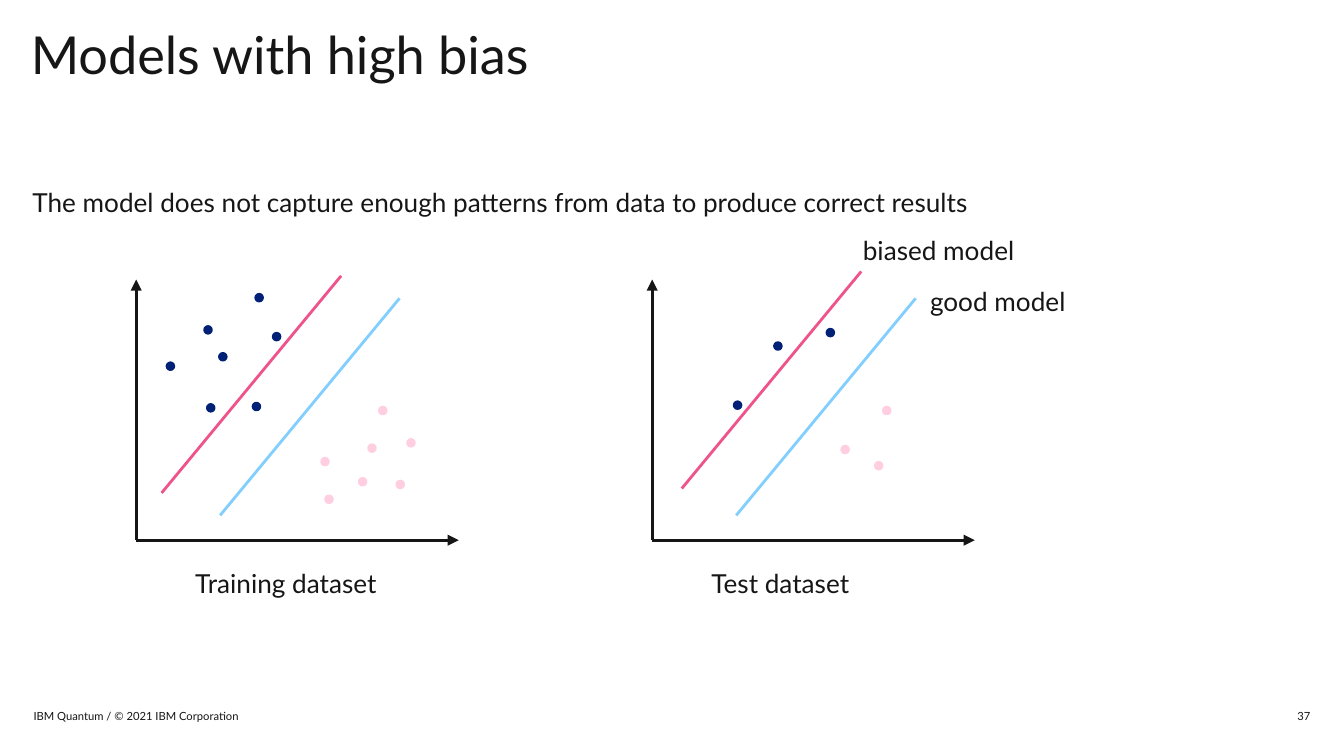
from dataclasses import dataclass

import pptx
import pptx.dml.color
import pptx.enum.shapes
import pptx.enum.text
import pptx.oxml.ns
import pptx.util
from lxml import etree

# Grid: 100 columns by 56.25 rows of square cells (16:9)
COLS, ROWS = 100, 56.25
CELL = pptx.util.Inches(0.1)
FONT = "Lato"
INK, NAVY, BLUSH, SKY, ROSE = "161616", "002175", "FFCFE1", "82CFFF", "EE538B"
STROKE = 1.5
DOT = 0.5                    # diameter, in cells
AXIS_WIDTH, AXIS_HEIGHT = 24, 19.4
MODEL_RUN, MODEL_RISE = 13.35, 16.15

Align = pptx.enum.text.PP_ALIGN
Anchor = pptx.enum.text.MSO_ANCHOR
Point = tuple[float, float]


@dataclass
class Label:
    text: str
    col: float
    row: float
    width: float
    height: float
    size: float
    spacing: float = 1.0
    align: Align = Align.LEFT
    anchor: Anchor = Anchor.TOP
    wrap: bool = True


@dataclass
class Plot:
    """Points are cells right of and above the axes' origin."""
    caption: str
    caption_width: float
    origin_col: float
    biased_top: Point
    navy_dots: list[Point]
    blush_dots: list[Point]
    origin_row: float = 40.2
    good_top: Point = (19.6, 18)

    def place(self, point: Point) -> Point:
        return self.origin_col + point[0], self.origin_row - point[1]


def cells(n: float) -> int:
    return round(n * CELL)


def color(value: str) -> pptx.dml.color.RGBColor:
    return pptx.dml.color.RGBColor.from_string(value)


def add_label(slide, label: Label) -> None:
    tb = slide.shapes.add_textbox(cells(label.col), cells(label.row),
                                  cells(label.width), cells(label.height))
    tf = tb.text_frame
    tf.margin_left = tf.margin_right = tf.margin_top = tf.margin_bottom = 0
    tf.word_wrap = label.wrap
    tf.vertical_anchor = label.anchor
    p = tf.paragraphs[0]
    p.alignment = label.align
    p.line_spacing = label.spacing
    r = p.add_run()
    r.text = label.text
    r.font.name = FONT
    r.font.size = pptx.util.Pt(label.size)
    r.font.color.rgb = color(INK)


def add_line(slide, start: Point, end: Point, stroke: str, arrow: bool = False) -> None:
    cx = slide.shapes.add_connector(pptx.enum.shapes.MSO_CONNECTOR.STRAIGHT,
                                    *map(cells, start + end))
    cx.line.color.rgb = color(stroke)
    cx.line.width = pptx.util.Pt(STROKE)
    if arrow:
        ln = cx.line._get_or_add_ln()
        etree.SubElement(ln, pptx.oxml.ns.qn("a:tailEnd"), type="triangle")
    etree.SubElement(cx._element.spPr, pptx.oxml.ns.qn("a:effectLst"))


def add_dot(slide, center: Point, fill: str) -> None:
    sp = slide.shapes.add_shape(pptx.enum.shapes.MSO_SHAPE.OVAL,
                                cells(center[0] - DOT / 2), cells(center[1] - DOT / 2),
                                cells(DOT), cells(DOT))
    sp.shadow.inherit = False
    sp.fill.solid()
    sp.fill.fore_color.rgb = color(fill)
    sp.line.color.rgb = color(fill)
    sp.line.width = pptx.util.Pt(STROKE)


def add_plot(slide, plot: Plot) -> None:
    # Axes
    for tip in [(0, AXIS_HEIGHT), (AXIS_WIDTH, 0)]:
        add_line(slide, plot.place((0, 0)), plot.place(tip), INK, arrow=True)
    # Data points
    for dots, fill in [(plot.navy_dots, NAVY), (plot.blush_dots, BLUSH)]:
        for dot in dots:
            add_dot(slide, plot.place(dot), fill)
    # Decision lines
    for top, stroke in [(plot.good_top, SKY), (plot.biased_top, ROSE)]:
        bottom = (top[0] - MODEL_RUN, top[1] - MODEL_RISE)
        add_line(slide, plot.place(top), plot.place(bottom), stroke)
    # Caption
    col, row = plot.place((4.4, -1.8))
    add_label(slide, Label(plot.caption, col, row, plot.caption_width, 2.4, 14, 1.1,
                           wrap=False))


LABELS = [
    Label("Models with high bias", 2.3, 2.2, 70.4, 8.8, 28, 0.9),
    Label("The model does not capture enough patterns from data to produce correct results",
          2.4, 13.65, 95.2, 35.6, 14, 1.1),
    Label("IBM Quantum / © 2021 IBM Corporation", 2.5, 52.4, 45, 1.8, 6,
          anchor=Anchor.MIDDLE),
    Label("37", 77.5, 52.4, 20, 1.8, 6, align=Align.RIGHT, anchor=Anchor.MIDDLE),
    Label("good model", 69.2, 21, 10.4, 2.4, 14, 1.1, wrap=False),
    Label("biased model", 64.2, 17.2, 11.9, 2.4, 14, 1.1, wrap=False),
]

PLOTS = [
    Plot("Training dataset", 14.3, 10.13, (15.25, 19.67),
         navy_dots=[(5.35, 15.65), (6.45, 13.65), (9.15, 18.05), (5.55, 9.85),
                    (10.45, 15.15), (8.95, 9.95), (2.55, 12.95)],
         blush_dots=[(14.05, 5.85), (17.55, 6.85), (16.85, 4.35), (18.35, 9.65),
                     (14.35, 3.05), (19.65, 4.15), (20.45, 7.25)]),
    Plot("Test dataset", 10.9, 48.53, (15.55, 20),
         navy_dots=[(9.35, 14.45), (6.35, 10.05), (13.25, 15.45)],
         blush_dots=[(14.35, 6.75), (16.85, 5.55), (17.45, 9.65)]),
]


def main() -> None:
    prs = pptx.Presentation()
    prs.slide_width, prs.slide_height = cells(COLS), cells(ROWS)
    slide = prs.slides.add_slide(prs.slide_layouts[6])
    for label in LABELS:
        add_label(slide, label)
    for plot in PLOTS:
        add_plot(slide, plot)
    prs.save("out.pptx")


if __name__ == "__main__":
    main()
